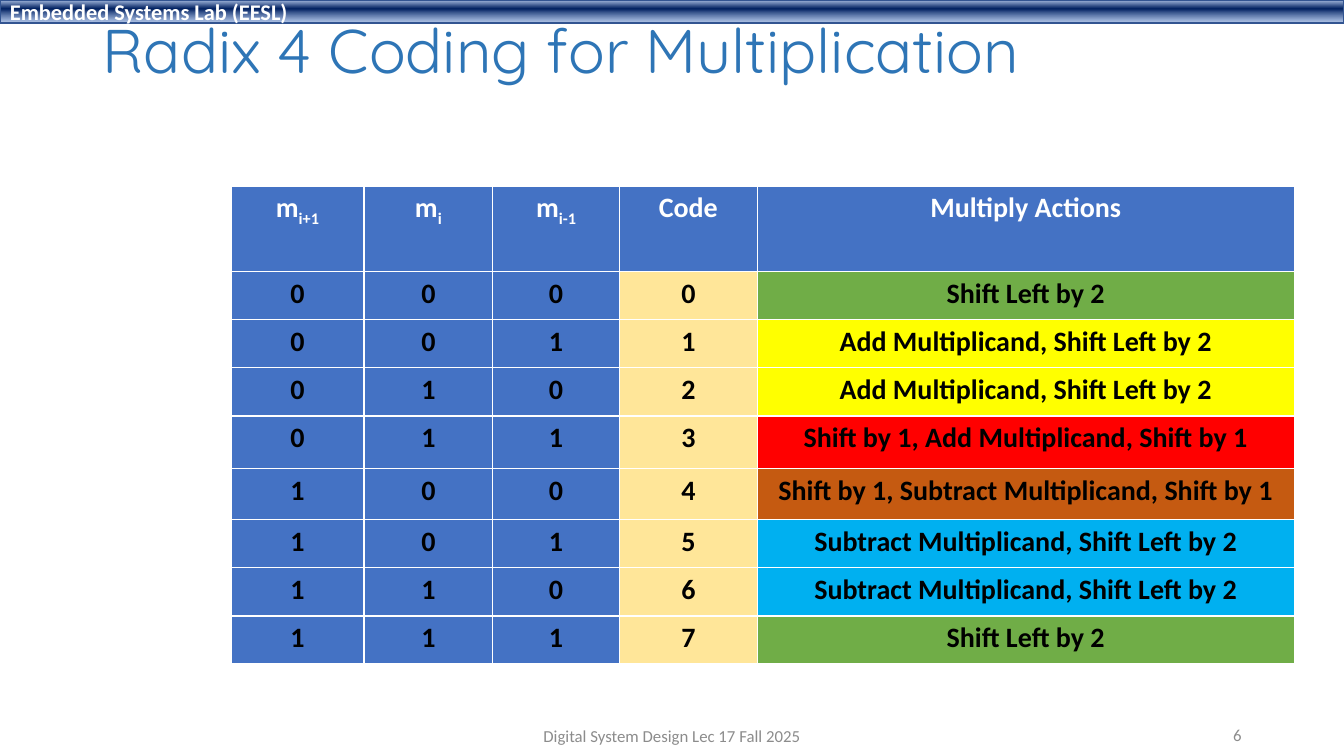
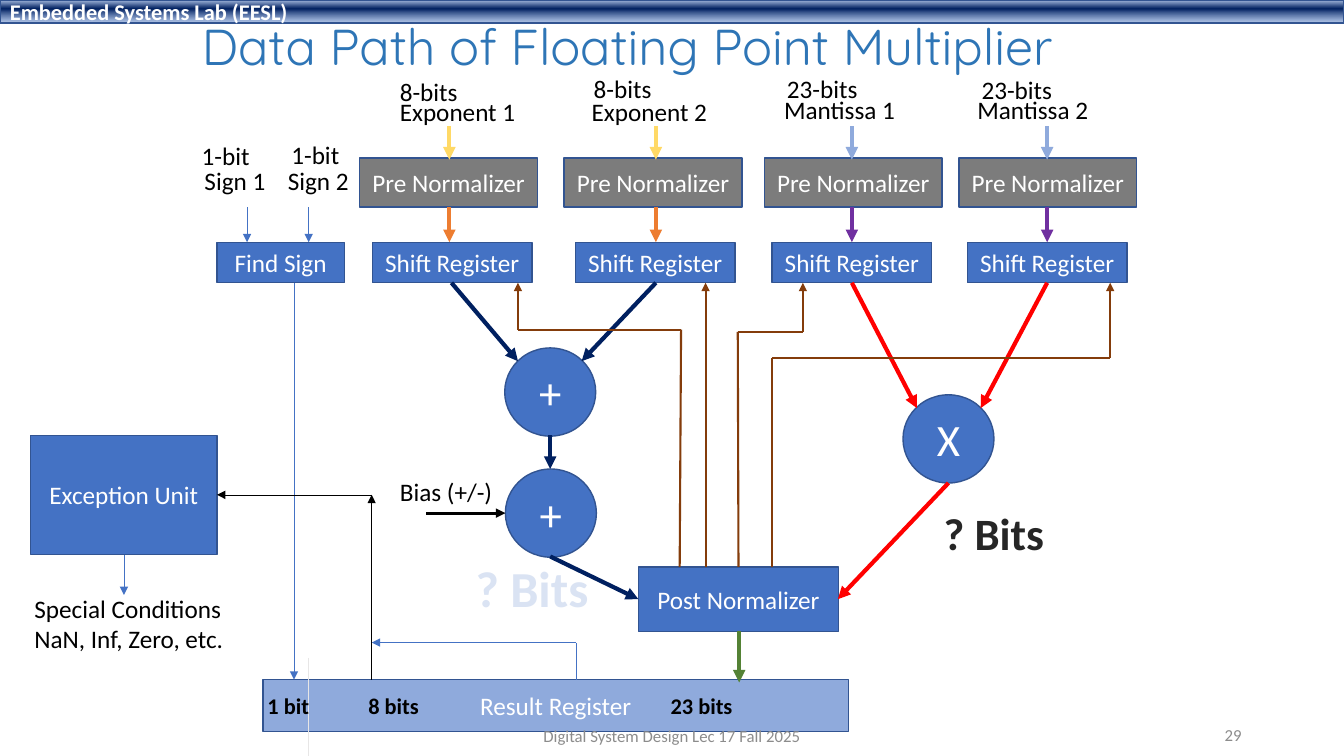
"""Build two lecture slides: a Radix 4 coding table and a multiplier data path."""
from lxml import etree
from pptx import Presentation
from pptx.dml.color import RGBColor
from pptx.enum import shapes, text
from pptx.oxml import ns
from pptx.util import Pt


class Theme:
    body_font, title_font = "Calibri", "Quicksand"
    footer_size, band_size, label_size, table_size = 12, 16, 18, 20
    symbol_size, bits_size = 32, 36
    blue, outline, light_blue, pale_blue = "4472C4", "325491", "8FAADC", "DAE3F3"
    title, navy, sky, gray = "2E75B6", "002060", "00B0F0", "7C7C7C"
    white, black, charcoal, footer, divider = "FFFFFF", "000000", "262626", "8C8C8C", "E7E6E6"
    green, dark_green, yellow, gold, cream = "70AD47", "548235", "FFFF00", "FFD966", "FFE699"
    red, orange, rust, brown, purple = "FF0000", "ED7D31", "C55A11", "843C0B", "7030A0"
    band_stops = [(2, "ABC0E4", 100), (38, "002060", 100), (93, "7E9ED6", 64)]


LEFT, CENTER, RIGHT = text.PP_ALIGN.LEFT, text.PP_ALIGN.CENTER, text.PP_ALIGN.RIGHT
TOP, MIDDLE = text.MSO_ANCHOR.TOP, text.MSO_ANCHOR.MIDDLE
RECTANGLE, OVAL = shapes.MSO_SHAPE.RECTANGLE, shapes.MSO_SHAPE.OVAL


def write(frame, words, size, color, align=LEFT, anchor=TOP, bold=False, wrap=True, font_name=Theme.body_font):
    if words is not None:
        frame.text = words
    frame.word_wrap = wrap
    frame.vertical_anchor = anchor
    for paragraph in frame.paragraphs:
        paragraph.alignment = align
        for font in [paragraph.font, *(run.font for run in paragraph.runs)]:
            font.name, font.size, font.bold = font_name, Pt(size), bold
            font.color.rgb = RGBColor.from_string(color)


def draw(slide, points, color, width, arrow=True):
    for start, end in zip(points, points[1:]):
        line = slide.shapes.add_connector(
            shapes.MSO_CONNECTOR.STRAIGHT, *(Pt(value) for value in (*start, *end)))
        line.line.color.rgb = RGBColor.from_string(color)
        line.line.width = Pt(width)
        properties = line._element.spPr
        etree.SubElement(properties, ns.qn("a:effectLst"))
        if arrow and end == points[-1]:
            etree.SubElement(properties.find(ns.qn("a:ln")), ns.qn("a:tailEnd"), type="triangle")


presentation = Presentation()
presentation.slide_width, presentation.slide_height = Pt(960), Pt(540)

headings = [
    ("Radix 4 Coding for Multiplication", (66, 11, 828, 55), 44),
    ("Data Path of Floating Point Multiplier", (137, 16.5, 735, 37), 36),
]
for heading, place, size in headings:
    slide = presentation.slides.add_slide(presentation.slide_layouts[5])
    band = slide.shapes.add_shape(RECTANGLE, 0, 0, Pt(960), Pt(16.5))
    band.shadow.inherit = False
    band.line.color.rgb = RGBColor.from_string(Theme.outline)
    band.line.width = Pt(1)
    band.fill.gradient()
    band.fill.gradient_angle = 270
    stops = band._element.spPr.find(".//" + ns.qn("a:gsLst"))
    for stop in list(stops):
        stops.remove(stop)
    for position, color, opacity in Theme.band_stops:
        stop = etree.SubElement(stops, ns.qn("a:gs"), pos=str(position * 1000))
        tone = etree.SubElement(stop, ns.qn("a:srgbClr"), val=color)
        etree.SubElement(tone, ns.qn("a:alpha"), val=str(opacity * 1000))
    write(band.text_frame, "Embedded Systems Lab (EESL)", Theme.band_size, Theme.white, anchor=MIDDLE, bold=True)

    title = slide.shapes.title
    title.left, title.top, title.width, title.height = (Pt(value) for value in place)
    write(title.text_frame, heading, size, Theme.title, anchor=MIDDLE, font_name=Theme.title_font)
    title.text_frame.auto_size = text.MSO_AUTO_SIZE.NONE
    title.text_frame.paragraphs[0].line_spacing = 0.9

coding_slide, path_slide = presentation.slides

actions = [
    ("Shift Left by 2", Theme.green),
    ("Add Multiplicand, Shift Left by 2", Theme.yellow),
    ("Add Multiplicand, Shift Left by 2", Theme.yellow),
    ("Shift by 1, Add Multiplicand, Shift by 1", Theme.red),
    ("Shift by 1, Subtract Multiplicand, Shift by 1", Theme.rust),
    ("Subtract Multiplicand, Shift Left by 2", Theme.sky),
    ("Subtract Multiplicand, Shift Left by 2", Theme.sky),
    ("Shift Left by 2", Theme.green),
]
column_widths = [95, 92, 90.5, 98.5, 383.5]
row_heights = [61, 34.4, 34.4, 34.4, 37.6, 36.5, 34.4, 34.4, 34.4]
table = coding_slide.shapes.add_table(
    len(row_heights), len(column_widths), Pt(165), Pt(133), Pt(sum(column_widths)), Pt(sum(row_heights))).table
table.horz_banding = False
for column, width in zip(table.columns, column_widths):
    column.width = Pt(width)
for row, height in zip(table.rows, row_heights):
    row.height = Pt(height)

rows = [([("m", "i+1"), ("m", "i"), ("m", "i-1"), ("Code", ""), ("Multiply Actions", "")],
         [Theme.blue] * 5, Theme.white)]
for code, (action, color) in enumerate(actions):
    rows.append(([(words, "") for words in (*f"{code:03b}", str(code), action)],
                 [Theme.blue] * 3 + [Theme.cream, color], Theme.black))
for row, (entries, fills, ink) in zip(table.rows, rows):
    for cell, (words, subscript), fill in zip(row.cells, entries, fills):
        cell.fill.solid()
        cell.fill.fore_color.rgb = RGBColor.from_string(fill)
        paragraph = cell.text_frame.paragraphs[0]
        paragraph.add_run().text = words
        if subscript:
            run = paragraph.add_run()
            run.text = subscript
            run._r.get_or_add_rPr().set("baseline", "-25000")
        write(cell.text_frame, None, Theme.table_size, ink, CENTER, bold=True)

register_lefts = [266, 411, 551.5, 691]
normalizer_lefts = [257, 403, 546, 685]
blocks = [(RECTANGLE, (left, 173, 114, 29), "Shift Register", Theme.blue) for left in register_lefts]
blocks += [(RECTANGLE, (left, 113, 127, 35), "Pre Normalizer", Theme.gray) for left in normalizer_lefts]
blocks += [(OVAL, (left, top, 65, 63), sign, Theme.blue)
           for left, top, sign in [(360.5, 248.5, "+"), (361, 335, "+"), (645, 282, "X")]]
blocks += [
    (RECTANGLE, (155, 173, 91, 29), "Find Sign", Theme.blue),
    (RECTANGLE, (456, 405, 143, 46), "Post Normalizer", Theme.blue),
    (RECTANGLE, (22, 311, 133, 85), "Exception Unit", Theme.blue),
    (RECTANGLE, (188, 485.5, 418, 37), "Result Register", Theme.light_blue),
]
for kind, place, words, fill in blocks:
    block = path_slide.shapes.add_shape(kind, *(Pt(value) for value in place))
    block.shadow.inherit = False
    block.fill.solid()
    block.fill.fore_color.rgb = RGBColor.from_string(fill)
    block.line.color.rgb = RGBColor.from_string(Theme.outline)
    block.line.width = Pt(1)
    size = Theme.symbol_size if kind == OVAL else Theme.label_size
    write(block.text_frame, words, size, Theme.white, CENTER, MIDDLE)

lane_colors = [(Theme.gold, Theme.orange)] * 2 + [(Theme.light_blue, Theme.purple)] * 2
for x, (input_color, shift_color) in zip([321, 468.5, 608.5, 748], lane_colors):
    draw(path_slide, [(x, 90), (x, 114)], input_color, 3)
    draw(path_slide, [(x, 148), (x, 173)], shift_color, 3)

wires = [
    ([(322.5, 202), (370, 258)], Theme.navy, 3),
    ([(468.5, 202), (415.5, 258)], Theme.navy, 3),
    ([(393, 311), (393, 335)], Theme.navy, 3),
    ([(393, 397.5), (456, 428)], Theme.navy, 3),
    ([(304.5, 366.5), (361, 366.5)], Theme.black, 2.25),
    ([(608.5, 202), (655, 291.5)], Theme.red, 3),
    ([(748, 202), (700.5, 291.5)], Theme.red, 3),
    ([(677.5, 345), (598.5, 428)], Theme.red, 3),
    ([(528, 451), (528, 487.5)], Theme.dark_green, 3),
    ([(485.5, 405), (486.5, 235.5), (370, 235.5), (370, 202)], Theme.brown, 1.5),
    ([(504, 405), (504, 202)], Theme.brown, 1.5),
    ([(527.5, 405), (527, 237), (573.5, 237), (573.5, 202)], Theme.brown, 1.5),
    ([(551.5, 405), (551.5, 255.5), (793, 255.5), (793, 202)], Theme.brown, 1.5),
    ([(176.5, 148), (176.5, 173)], Theme.blue, 0.5),
    ([(220.5, 148), (220.5, 173)], Theme.blue, 0.5),
    ([(210, 202), (210, 485.5)], Theme.blue, 0.5),
    ([(88.5, 396.5), (88.5, 425)], Theme.blue, 0.5),
    ([(411.5, 485.5), (411.5, 459), (265.5, 459)], Theme.blue, 0.5),
    ([(265.5, 485.5), (265.5, 353.5)], Theme.black, 0.5),
    ([(265.5, 353.5), (155, 353.5)], Theme.black, 0.5),
]
for points, color, width in wires:
    draw(path_slide, points, color, width)
draw(path_slide, [(220.5, 470), (220.5, 540)], Theme.divider, 0.5, arrow=False)

labels = [
    ("Exponent 1", (278.5, 65.5, 98, 29)), ("8-bits", (278.5, 51, 56, 29)),
    ("Exponent 2", (415.5, 65.5, 98, 29)), ("8-bits", (417, 49, 56, 29)),
    ("Mantissa 1", (553, 63.5, 94, 29)), ("23-bits", (555, 49, 65.5, 29)),
    ("Mantissa 2", (691, 64, 94, 29)), ("23-bits", (694, 49.5, 65.5, 29)),
    ("Sign 1", (139, 114.5, 58, 29)), ("1-bit", (137, 96.5, 49, 29)),
    ("Sign 2", (198.5, 114.5, 58, 29)), ("1-bit", (201, 96, 49, 29)),
    ("Bias (+/-)", (278.5, 337, 81.5, 29)),
    ("Special Conditions\nNaN, Inf, Zero, etc.", (17.5, 420, 150, 51)),
]
for words, place in labels:
    label = path_slide.shapes.add_textbox(*(Pt(value) for value in place))
    write(label.text_frame, words, Theme.label_size, Theme.black, wrap=False)

questions = [
    ((663, 358, 94, 46), Theme.symbol_size, Theme.charcoal),
    ((332, 394.5, 96, 51), Theme.bits_size, Theme.pale_blue),
]
for place, size, color in questions:
    question = path_slide.shapes.add_textbox(*(Pt(value) for value in place))
    write(question.text_frame, "? Bits", size, color, CENTER, bold=True, wrap=False)

fields = path_slide.shapes.add_textbox(Pt(184), Pt(490.5), Pt(385), Pt(26.5))
write(fields.text_frame, "1 bit\t8 bits\t23 bits", Theme.band_size, Theme.black, bold=True)
tab_stops = etree.Element(ns.qn("a:tabLst"))
for position in (72, 288):
    etree.SubElement(tab_stops, ns.qn("a:tab"), pos=str(int(Pt(position))), algn="l")
fields.text_frame.paragraphs[0]._p.get_or_add_pPr().insert(0, tab_stops)

for slide, number in zip(presentation.slides, ("6", "29")):
    for words, place, align in [
        ("Digital System Design Lec 17 Fall 2025", (318, 511, 324, 29), CENTER),
        (number, (678, 510.5, 216, 29), RIGHT),
    ]:
        footer = slide.shapes.add_textbox(*(Pt(value) for value in place))
        write(footer.text_frame, words, Theme.footer_size, Theme.footer, align, MIDDLE)

presentation.save("out.pptx")
